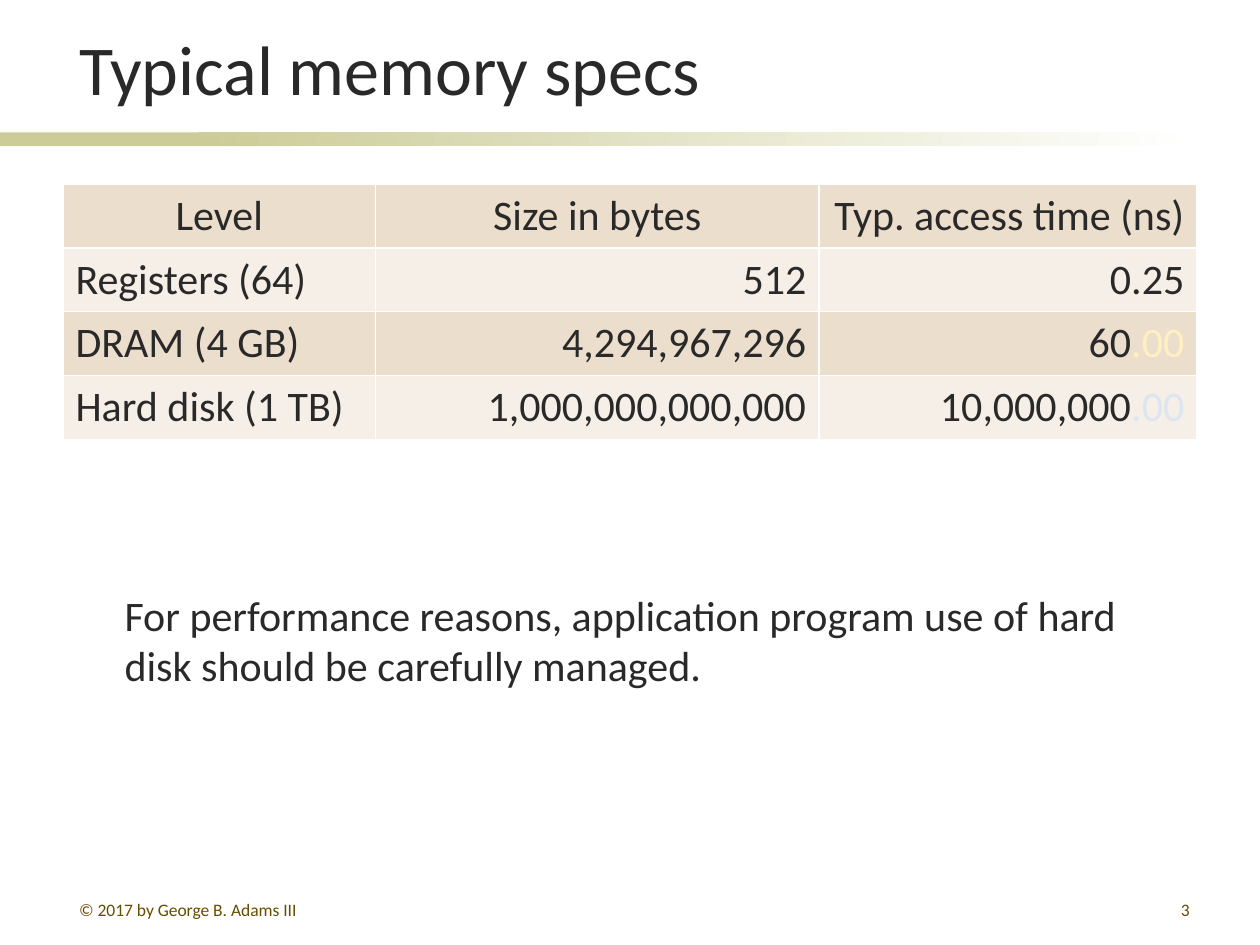
import pptx
import pptx.util
import pptx.dml.color
import pptx.enum.shapes
import pptx.enum.text
import pptx.oxml
import pptx.oxml.ns

Inches = pptx.util.Inches
ALIGN = pptx.enum.text.PP_ALIGN
ANCHOR = pptx.enum.text.MSO_ANCHOR

COLORS = {
    "text": "292929",
    "footer": "664D00",
    "band": "CCCC99",
    "white": "FFFFFF",
    "dark_row": "ECDECC",
    "light_row": "F6EFE7",
    "dark_pad": "FFF0C2",
    "light_pad": "DCE6F2",
}
ROWS = [
    ("Level", "Size in bytes", "Typ. access time (ns)"),
    ("Registers (64)", "512", "0.25"),
    ("DRAM (4 GB)", "4,294,967,296", "60"),
    ("Hard disk (1 TB)", "1,000,000,000,000", "10,000,000"),
]
PADDING = {2: "dark_pad", 3: "light_pad"}
COLUMN_WIDTHS = (2.48, 3.52, 3)
ROW_HEIGHT = 0.5


def color(name):
    return pptx.dml.color.RGBColor.from_string(COLORS[name])


def write(frame, text, size, color_name="text", align=ALIGN.LEFT):
    para = frame.paragraphs[0]
    para.alignment = align
    para.font.name = "Calibri"
    para.font.size = pptx.util.Pt(size)
    para.font.color.rgb = color(color_name)
    para.add_run().text = text
    return para


def add_band(page, left, width, fades=False):
    band = page.shapes.add_shape(
        pptx.enum.shapes.MSO_SHAPE.RECTANGLE,
        Inches(left), Inches(1.05), Inches(width), Inches(0.11))
    band.shadow.inherit = False
    band.line.fill.background()
    if fades:
        band.fill.gradient()
        band.fill.gradient_angle = 0
        for stop, name in zip(band.fill.gradient_stops, ("band", "white")):
            stop.color.rgb = color(name)
    else:
        band.fill.solid()
        band.fill.fore_color.rgb = color("band")


def place_title(page, text):
    title = page.shapes.title
    title.left, title.top = Inches(0.53), Inches(0.11)
    title.width, title.height = Inches(9.01), Inches(0.81)
    frame = title.text_frame
    frame.auto_size = pptx.enum.text.MSO_AUTO_SIZE.NONE
    frame.vertical_anchor = ANCHOR.BOTTOM
    write(frame, text, 40)


def add_text(page, area, text, size, color_name="text", align=ALIGN.LEFT):
    box = page.shapes.add_textbox(*map(Inches, area))
    box.text_frame.word_wrap = True
    write(box.text_frame, text, size, color_name, align)
    return box


def add_borders(cell):
    properties = cell._tc.get_or_add_tcPr()
    for side in ("lnL", "lnR", "lnT", "lnB"):
        properties.append(pptx.oxml.parse_xml(
            f'<a:{side} {pptx.oxml.ns.nsdecls("a")} w="12700"><a:solidFill>'
            f'<a:srgbClr val="{COLORS["white"]}"/></a:solidFill></a:{side}>'))


def cell_alignment(row, column):
    if column == 2:
        return ALIGN.RIGHT
    if row == 0:
        return ALIGN.CENTER
    return ALIGN.RIGHT if column else ALIGN.LEFT


def add_memory_table(page):
    table = page.shapes.add_table(
        len(ROWS), len(COLUMN_WIDTHS), Inches(0.5), Inches(1.46),
        Inches(sum(COLUMN_WIDTHS)), Inches(ROW_HEIGHT * len(ROWS))).table
    for column, width in zip(table.columns, COLUMN_WIDTHS):
        column.width = Inches(width)
    for row, texts in enumerate(ROWS):
        for column, text in enumerate(texts):
            cell = table.cell(row, column)
            add_borders(cell)
            cell.fill.solid()
            cell.fill.fore_color.rgb = color("light_row" if row % 2 else "dark_row")
            para = write(cell.text_frame, text, 24, align=cell_alignment(row, column))
            para.font.bold = False
            if column == 2 and row in PADDING:
                span = para.add_run()
                span.text = ".00"
                span.font.color.rgb = color(PADDING[row])


def main():
    deck = pptx.Presentation()
    deck.slide_width, deck.slide_height = Inches(10), Inches(7.5)
    page = deck.slides.add_slide(deck.slide_layouts[5])
    add_band(page, 0, 2.33)
    add_band(page, 1.58, 7.92, fades=True)
    place_title(page, "Typical memory specs")
    add_memory_table(page)
    footers = (
        ((0.53, 7.11, 2.17, 0.21), "© 2017 by George B. Adams III", ALIGN.LEFT),
        ((7.46, 7.11, 2.08, 0.21), "3", ALIGN.RIGHT),
    )
    for area, text, align in footers:
        box = add_text(page, area, text, 10, "footer", align)
        box.text_frame.margin_top = box.text_frame.margin_bottom = 0
        box.text_frame.vertical_anchor = ANCHOR.MIDDLE
    add_text(page, (0.89, 4.63, 8.37, 0.91),
             "For performance reasons, application program use of hard "
             "disk should be carefully managed.", 24)
    deck.save("out.pptx")


if __name__ == "__main__":
    main()
